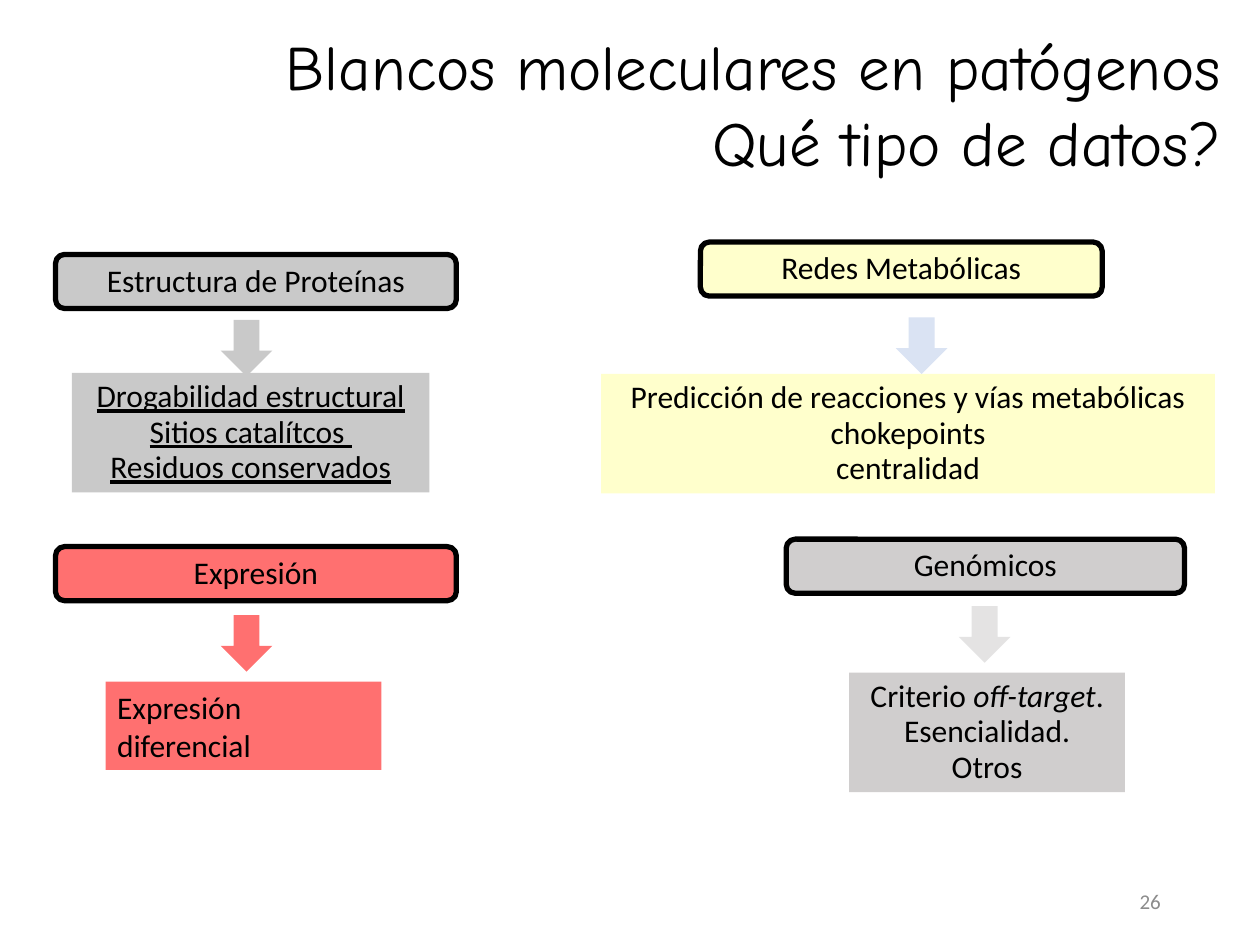
import pptx
import pptx.util
import pptx.dml.color
import pptx.enum.shapes
import pptx.enum.text
import pptx.oxml.ns
from lxml import etree

Cm, Pt = pptx.util.Cm, pptx.util.Pt
RGB = pptx.dml.color.RGBColor.from_string
MSO = pptx.enum.shapes.MSO_SHAPE
ALIGN = pptx.enum.text.PP_ALIGN
ANCHOR = pptx.enum.text.MSO_ANCHOR
COLORS = {"gray": "C9C9C9", "yellow": "FFFFCC", "red": "FF0000",
          "stone": "D0CECE", "blue": "DAE3F3", "black": "000000",
          "number": "8C8C8C"}


def add_block(s, kind, box, color, opacity=100):
    sp = s.shapes.add_shape(kind, *[Cm(v) for v in box])
    sp.shadow.inherit = False
    sp.fill.solid()
    sp.fill.fore_color.rgb = RGB(COLORS[color])
    if opacity < 100:
        clr = sp.fill._xPr.find(".//" + pptx.oxml.ns.qn("a:srgbClr"))
        etree.SubElement(clr, pptx.oxml.ns.qn("a:alpha"), val=str(opacity * 1000))
    sp.line.fill.background()
    return sp


def write(sp, lines, size=18, font="Calibri", color="black", align=ALIGN.CENTER,
          spacing=None, underline=None):
    tf = sp.text_frame
    tf.word_wrap = True
    tf.text = lines[0]
    for line in lines[1:]:
        tf.add_paragraph().text = line
    for p in tf.paragraphs:
        p.alignment = align
        p.line_spacing = spacing
        # Asterisks mark the italic part of a line
        parts = p.text.split("*")
        p.text = parts[0]
        for part in parts[1:]:
            p.add_run().text = part
        for i, r in enumerate(p.runs):
            r.font.size = Pt(size)
            r.font.name = font
            r.font.color.rgb = RGB(COLORS[color])
            r.font.underline = underline
            if i % 2:
                r.font.italic = True
    return tf


prs = pptx.Presentation()
prs.slide_width, prs.slide_height = Cm(25.4), Cm(19.05)
s = prs.slides.add_slide(prs.slide_layouts[5])

# Title
sp = s.shapes.title
sp.left, sp.top, sp.width, sp.height = Cm(4.24), Cm(0.43), Cm(20.62), Cm(3.35)
tf = write(sp, ["Blancos moleculares en patógenos", "Qué tipo de datos?"],
           size=36, font="Comic Neue", align=ALIGN.RIGHT)
tf.word_wrap = False
tf.vertical_anchor = ANCHOR.TOP
tf.auto_size = pptx.enum.text.MSO_AUTO_SIZE.NONE

# Data types: heading, arrow and detail box
HEAD_H, ARROW_W, ARROW_H = 1.09, 1.04, 1.14
groups = [
    dict(head="Estructura de Proteínas", head_at=(1.12, 5.13, 8.08),
         color="gray", arrow_at=(4.45, 6.45), arrow="gray",
         detail_at=(1.45, 7.52, 7.21, 2.41), underline=True,
         detail=["Drogabilidad estructural", "Sitios catalítcos ",
                 "Residuos conservados"]),
    dict(head="Redes Metabólicas", head_at=(14.12, 4.88, 8.1),
         color="yellow", arrow_at=(18.06, 6.4), arrow="blue",
         detail_at=(12.12, 7.54, 12.37, 2.41),
         detail=["Predicción de reacciones y vías metabólicas",
                 "chokepoints", "centralidad"]),
    dict(head="Expresión", head_at=(1.12, 11.02, 8.08),
         color="red", opacity=56, arrow_at=(4.45, 12.4), arrow="red",
         arrow_opacity=56, detail_at=(2.13, 13.74, 5.56, 1.78),
         align=ALIGN.LEFT, spacing=None, detail=["Expresión diferencial"]),
    dict(head="Genómicos", head_at=(15.85, 10.87, 8.03),
         color="stone", arrow_at=(19.33, 12.22), arrow="stone",
         arrow_opacity=56, detail_at=(17.12, 13.56, 5.56, 2.41),
         detail=["Criterio *off-target*.", "Esencialidad.", "Otros"]),
]
for g in groups:
    opacity = g.get("opacity", 100)

    sp = add_block(s, MSO.ROUNDED_RECTANGLE, (*g["head_at"], HEAD_H),
                   g["color"], opacity)
    sp.line.color.rgb = RGB(COLORS["black"])
    sp.line.width = Pt(3)
    write(sp, [g["head"]], spacing=0.94)

    sp = add_block(s, MSO.RECTANGLE, g["detail_at"], g["color"], opacity)
    tf = write(sp, g["detail"], align=g.get("align", ALIGN.CENTER),
               spacing=g.get("spacing", 0.94), underline=g.get("underline"))
    tf.vertical_anchor = ANCHOR.TOP
    tf.margin_left = tf.margin_right = Cm(0.23)

    add_block(s, MSO.DOWN_ARROW, (*g["arrow_at"], ARROW_W, ARROW_H),
              g["arrow"], g.get("arrow_opacity", 100))

# Slide number
sp = s.shapes.add_textbox(Cm(17.93), Cm(17.65), Cm(5.72), Cm(1.02))
tf = write(sp, ["26"], size=12, color="number", align=ALIGN.RIGHT)
tf.vertical_anchor = ANCHOR.MIDDLE

prs.save("out.pptx")
